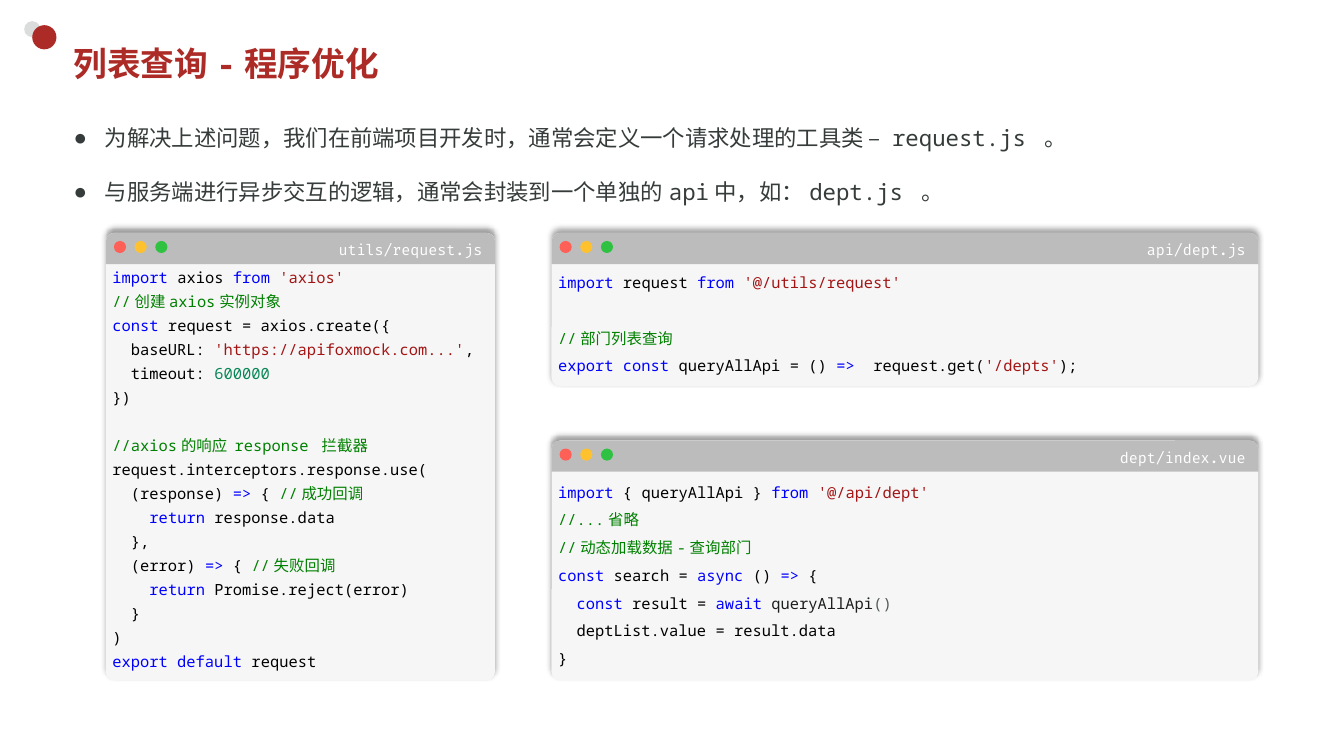
from lxml import etree
from pptx import Presentation
from pptx.dml.color import RGBColor
from pptx.enum.shapes import MSO_SHAPE
from pptx.enum.text import MSO_ANCHOR, PP_ALIGN
from pptx.oxml.ns import qn
from pptx.util import Inches, Pt

OVAL = MSO_SHAPE.OVAL
ROUNDED = MSO_SHAPE.ROUNDED_RECTANGLE
ROUNDED_TOP = MSO_SHAPE.ROUND_2_SAME_RECTANGLE
MIDDLE = MSO_ANCHOR.MIDDLE
TOP = MSO_ANCHOR.TOP
LEFT = PP_ALIGN.LEFT
RIGHT = PP_ALIGN.RIGHT

TEXT_FONT = "Noto Sans Mono"
HEADER_FONT = "Fira Code"
RED = "AD2B26"
PLAIN, KEYWORD, STRING, COMMENT, NUMBER = "000000", "0000FF", "A31515", "008000", "098658"
CORNER = 0.085
HEADER_HEIGHT = 0.31
DOT_COLORS = ["FE5F56", "FFC12E", "2FC141"]

BULLETS = [
    "为解决上述问题，我们在前端项目开发时，通常会定义一个请求处理的工具类 – request.js 。",
    "与服务端进行异步交互的逻辑，通常会封装到一个单独的api中，如：dept.js 。",
]

# Each code paragraph is a list of (text, color) tokens.
REQUEST_CODE = [
    [("import", KEYWORD), (" axios ", PLAIN), ("from ", KEYWORD), ("'axios'\n", STRING),
     ("//创建axios实例对象", COMMENT)],
    [("const", KEYWORD), (" request = axios.create({", PLAIN)],
    [("  baseURL: ", PLAIN), ("'https://apifoxmock.com...'", STRING), (",", PLAIN)],
    [("  timeout: ", PLAIN), ("600000", NUMBER)],
    [("})", PLAIN)],
    [("\n//axios的响应 response 拦截器", COMMENT)],
    [("request.interceptors.response.use(", PLAIN)],
    [("  (response) ", PLAIN), ("=>", KEYWORD), (" { ", PLAIN), ("//成功回调", COMMENT)],
    [("    ", PLAIN), ("return", KEYWORD), (" response.data", PLAIN)],
    [("  },", PLAIN)],
    [("  (error) ", PLAIN), ("=>", KEYWORD), (" { ", PLAIN), ("//失败回调", COMMENT)],
    [("    ", PLAIN), ("return", KEYWORD), (" Promise.reject(error)", PLAIN)],
    [("  }", PLAIN)],
    [(")\n", PLAIN), ("export default", KEYWORD), (" request", PLAIN)],
]
DEPT_API_CODE = [
    [("import", KEYWORD), (" request ", PLAIN), ("from ", KEYWORD), ("'@/utils/request'", STRING)],
    [("\n//部门列表查询", COMMENT)],
    [("export const", KEYWORD), (" queryAllApi = () ", PLAIN), ("=>", KEYWORD),
     ("  request.get(", PLAIN), ("'/depts'", STRING), (");", PLAIN)],
]
DEPT_VIEW_CODE = [
    [("import", KEYWORD), (" { queryAllApi } ", PLAIN), ("from ", KEYWORD), ("'@/api/dept'", STRING)],
    [("//...省略\n//动态加载数据-查询部门", COMMENT)],
    [("const", KEYWORD), (" search = ", PLAIN), ("async", KEYWORD), (" () ", PLAIN),
     ("=>", KEYWORD), (" {", PLAIN)],
    [("  ", PLAIN), ("const", KEYWORD), (" result = ", PLAIN), ("await ", KEYWORD),
     ("queryAllApi", "1B1E1D"), ("()", "525B5A")],
    [("  deptList.value = result.data", PLAIN)],
    [("}", PLAIN)],
]
# Left, top, width, height, file name, line spacing, code
PANELS = [
    (1.05, 2.31, 3.86, 4.44, "utils/request.js", 1.3, REQUEST_CODE),
    (5.47, 2.31, 7.01, 1.52, "api/dept.js", 1.5, DEPT_API_CODE),
    (5.47, 4.37, 7.01, 2.38, "dept/index.vue", 1.5, DEPT_VIEW_CODE),
]


def rgb(color):
    return RGBColor.from_string(color)


def format_run(run, size, color, name=TEXT_FONT, bold=False):
    run.font.size = Pt(size)
    run.font.name = name
    run.font.bold = bold
    run.font.color.rgb = rgb(color)


def place(shape, left, top, width, height):
    shape.left, shape.top = Inches(left), Inches(top)
    shape.width, shape.height = Inches(width), Inches(height)


def add_filled(shapes, kind, left, top, width, height, color):
    shape = shapes.add_shape(kind, Inches(left), Inches(top), Inches(width), Inches(height))
    shape.shadow.inherit = False
    shape.fill.solid()
    shape.fill.fore_color.rgb = rgb(color)
    shape.line.fill.background()
    return shape


def add_upward_shadow(shape):
    effects = shape._element.spPr.find(qn("a:effectLst"))
    shadow = etree.SubElement(effects, qn("a:outerShdw"), blurRad=str(Pt(4)), dist=str(Pt(3)),
                              dir="16200000", algn="b", rotWithShape="0")
    color = etree.SubElement(shadow, qn("a:srgbClr"), val="000000")
    etree.SubElement(color, qn("a:alpha"), val="40000")


def add_code_break(paragraph, size):
    """Add a line break that has the height of the code text."""
    paragraph.add_line_break()
    line_break = paragraph._p.findall(qn("a:br"))[-1]
    properties = etree.SubElement(line_break, qn("a:rPr"), sz=str(size * 100))
    etree.SubElement(properties, qn("a:latin"), typeface=TEXT_FONT)


def write_code(text_frame, code, line_spacing, size=11):
    for index, tokens in enumerate(code):
        paragraph = text_frame.paragraphs[0] if index == 0 else text_frame.add_paragraph()
        paragraph.alignment = LEFT
        paragraph.line_spacing = line_spacing
        for text, color in tokens:
            for part_index, part in enumerate(text.split("\n")):
                if part_index:
                    add_code_break(paragraph, size)
                if part:
                    run = paragraph.add_run()
                    run.text = part
                    format_run(run, size, color)


def add_code_panel(slide, left, top, width, height, file_name, line_spacing, code):
    shapes = slide.shapes.add_group_shape().shapes
    panel = add_filled(shapes, ROUNDED, left, top, width, height, "F6F6F6")
    panel.adjustments[0] = CORNER / min(width, height)
    add_upward_shadow(panel)
    frame = panel.text_frame
    frame.word_wrap = True
    frame.vertical_anchor = MIDDLE
    frame.margin_left = frame.margin_right = Inches(0.04)
    frame.margin_top, frame.margin_bottom = Inches(0.2), 0
    write_code(frame, code, line_spacing)

    header = add_filled(shapes, ROUNDED_TOP, left, top, width, HEADER_HEIGHT, "BCBCBC")
    header.adjustments[0] = CORNER / HEADER_HEIGHT
    header.text_frame.text = file_name
    header.text_frame.vertical_anchor = MIDDLE
    paragraph = header.text_frame.paragraphs[0]
    paragraph.alignment = RIGHT
    format_run(paragraph.runs[0], 10.5, "FFFFFF", HEADER_FONT)
    for index, color in enumerate(DOT_COLORS):
        add_filled(shapes, OVAL, left + 0.08 + 0.205 * index, top + 0.08, 0.12, 0.12, color)


def fill_title(title):
    place(title, 0.63, 0.37, 11.75, 0.52)
    title.text_frame.text = "列表查询-程序优化"
    title.text_frame.vertical_anchor = MIDDLE
    paragraph = title.text_frame.paragraphs[0]
    paragraph.alignment = LEFT
    format_run(paragraph.runs[0], 24, RED, bold=True)


def fill_bullets(body):
    place(body, 0.63, 1.05, 12.1, 1.03)
    body.text_frame.text = "\n".join(BULLETS)
    body.text_frame.vertical_anchor = TOP
    for index, paragraph in enumerate(body.text_frame.paragraphs):
        properties = paragraph._p.get_or_add_pPr()
        properties.set("marL", str(Inches(0.31)))
        properties.set("indent", str(Inches(-0.31)))
        etree.SubElement(properties, qn("a:buChar"), char="●")
        paragraph.line_spacing = 1.5
        paragraph.space_before = Pt(10 if index else 0)
        format_run(paragraph.runs[0], 16, "363C3B")


def main():
    presentation = Presentation()
    presentation.slide_width, presentation.slide_height = Inches(13.33), Inches(7.5)
    slide = presentation.slides.add_slide(presentation.slide_layouts[1])
    add_filled(slide.shapes, OVAL, 0.24, 0.21, 0.16, 0.16, "DADDDC")
    add_filled(slide.shapes, OVAL, 0.32, 0.25, 0.24, 0.24, RED)
    fill_title(slide.shapes.title)
    fill_bullets(slide.placeholders[1])
    for panel in PANELS:
        add_code_panel(slide, *panel)
    presentation.save("out.pptx")


if __name__ == "__main__":
    main()
